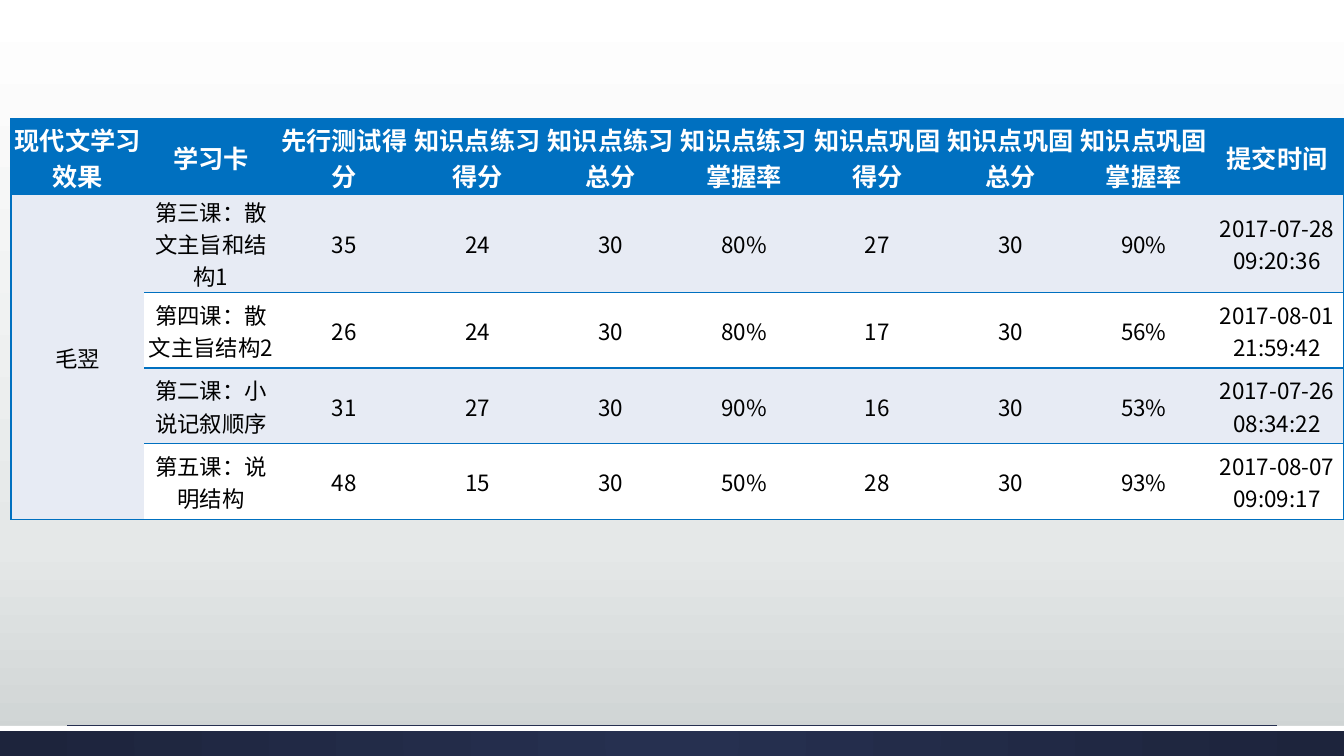
"""Build a slide with one pupil's results table for modern-text lessons."""
from copy import deepcopy

from lxml.etree import SubElement
from pptx import Presentation
from pptx.dml.color import RGBColor
from pptx.enum.shapes import MSO_CONNECTOR, MSO_SHAPE
from pptx.enum.text import MSO_ANCHOR, PP_ALIGN
from pptx.oxml import parse_xml
from pptx.oxml.ns import nsdecls, qn
from pptx.util import Inches, Pt

FONT = "Noto Sans CJK SC"
BLUE = "0070C0"
NO_STYLE = "{2D5ABB26-0587-4C30-8999-92F81FD0307C}"
RESULTS = [
    ["现代文学习效果", "学习卡", "先行测试得分", "知识点练习得分", "知识点练习总分",
     "知识点练习掌握率", "知识点巩固得分", "知识点巩固总分", "知识点巩固掌握率", "提交时间"],
    ["毛翌", "第三课：散文主旨和结构1", "35", "24", "30", "80%", "27", "30", "90%",
     "2017-07-28 09:20:36"],
    ["", "第四课：散文主旨结构2", "26", "24", "30", "80%", "17", "30", "56%",
     "2017-08-01 21:59:42"],
    ["", "第二课：小说记叙顺序", "31", "27", "30", "90%", "16", "30", "53%",
     "2017-07-26 08:34:22"],
    ["", "第五课：说明结构", "48", "15", "30", "50%", "28", "30", "93%",
     "2017-08-07 09:09:17"],
]


def color(hex_string):
    return RGBColor.from_string(hex_string)


def set_stops(fill, stop_list, stops):
    """Give a gradient the listed (position, colour) stops."""
    for _ in stops[2:]:
        stop_list.append(deepcopy(stop_list[-1]))
    for stop, (position, hex_string) in zip(fill.gradient_stops, stops):
        stop.position = position
        stop.color.rgb = color(hex_string)


deck = Presentation()
deck.slide_width, deck.slide_height = Inches(13.33), Inches(7.5)
width, height = deck.slide_width, deck.slide_height
slide = deck.slides.add_slide(deck.slide_layouts[6])

backdrop = slide.background.fill
backdrop.gradient()
backdrop.gradient_angle = 270
set_stops(backdrop, slide.element.find(".//" + qn("a:gsLst")),
          [(0, "FFFFFF"), (0.72, "E5E8E8"), (1, "CDD2D2")])

footer_top = int(height * 0.96)
footer, stripe = [
    slide.shapes.add_shape(MSO_SHAPE.RECTANGLE, 0, footer_top, width, Inches(depth))
    for depth in (0.3, 0.05)
]
for band in (footer, stripe):
    band.shadow.inherit = False
    band.line.fill.background()
stripe.fill.solid()
stripe.fill.fore_color.rgb = color("FFFFFF")
footer.fill.gradient()
footer_gradient = footer.element.spPr.find(qn("a:gradFill"))
set_stops(footer.fill, footer_gradient.find(qn("a:gsLst")), [(0, "263050"), (1, "1D243C")])
footer_gradient.replace(footer_gradient.find(qn("a:lin")), parse_xml(
    f'<a:path {nsdecls("a")} path="circle">'
    '<a:fillToRect l="50000" t="50000" r="50000" b="50000"/></a:path>'))

rule = slide.shapes.add_connector(
    MSO_CONNECTOR.STRAIGHT, int(width * 0.05), footer_top, int(width * 0.95), footer_top)
rule.line.color.rgb = color("263050")
rule.line.width = Pt(0.5)
SubElement(rule.element.spPr, qn("a:effectLst"))

row_count, column_count = len(RESULTS), len(RESULTS[0])
table_frame = slide.shapes.add_table(
    row_count, column_count, Inches(0.11), Inches(1.18),
    Inches(13.22), Inches(0.75) * row_count)
results = table_frame.table
results.horz_banding = False
table_frame.element.find(".//" + qn("a:tableStyleId")).text = NO_STYLE
results.cell(1, 0).merge(results.cell(row_count - 1, 0))

for row, values in enumerate(RESULTS):
    is_header = row == 0
    for column, value in enumerate(values):
        cell = results.cell(row, column)
        if cell.is_spanned:
            continue
        cell.fill.solid()
        cell.fill.fore_color.rgb = color(
            BLUE if is_header else "E7EBF4" if row % 2 else "FFFFFF")
        cell.vertical_anchor = MSO_ANCHOR.MIDDLE
        cell.margin_left = cell.margin_right = cell.margin_top = Inches(0.01)
        cell.margin_bottom = 0
        cell.text = value
        paragraph = cell.text_frame.paragraphs[0]
        paragraph.alignment = PP_ALIGN.CENTER
        paragraph.font.name = FONT
        paragraph.font.size = Pt(18 if is_header else 16)
        paragraph.font.bold = is_header
        paragraph.font.color.rgb = color("FFFFFF" if is_header else "000000")
        SubElement(paragraph.font._element, qn("a:ea"), typeface=FONT)

        edges = {"lnL": column == 0, "lnR": column == column_count - 1,
                 "lnT": True, "lnB": True}
        drawn_edges = [edge for edge, drawn in edges.items() if drawn]
        for place, edge in enumerate(drawn_edges):
            cell._tc.tcPr.insert(place, parse_xml(
                f'<a:{edge} {nsdecls("a")} w="{Pt(1)}"><a:solidFill>'
                f'<a:srgbClr val="{BLUE}"/></a:solidFill></a:{edge}>'))

deck.save("out.pptx")
